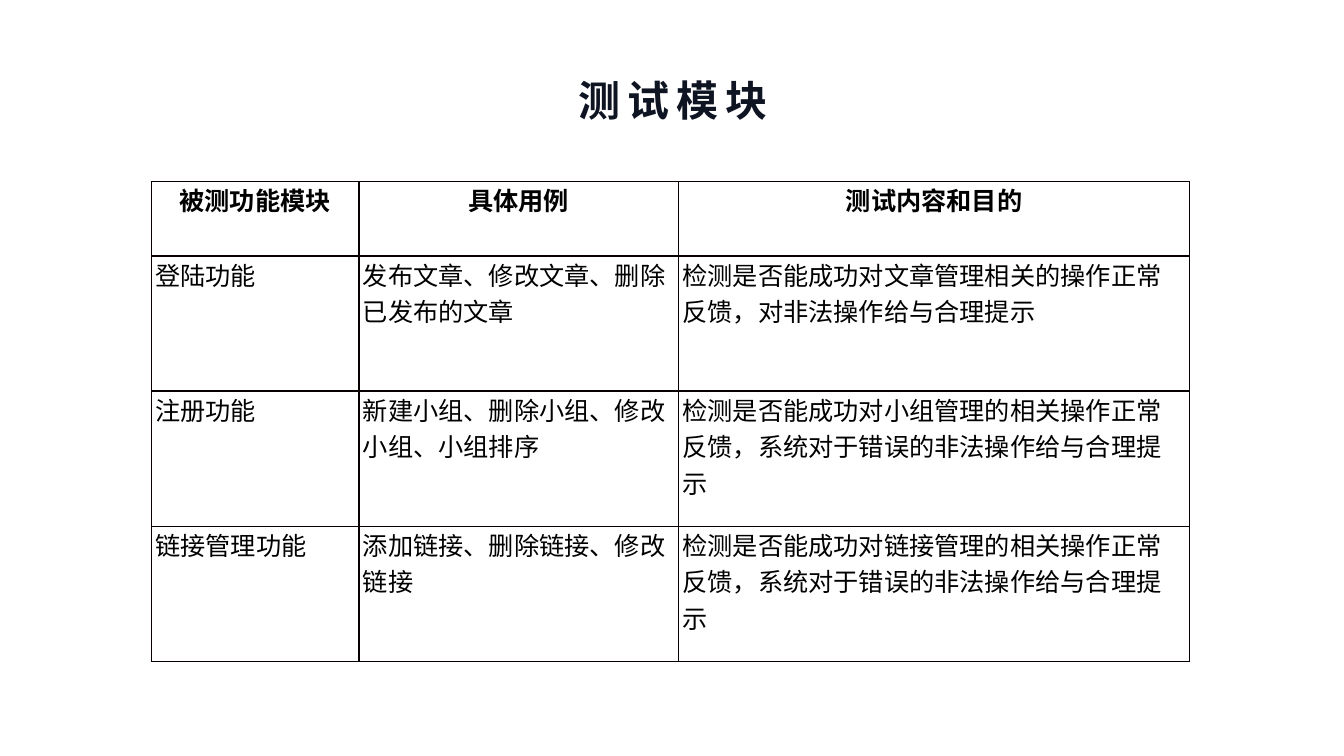
from typing import Any, NamedTuple

from lxml.etree import SubElement
from pptx import Presentation
from pptx.dml.color import RGBColor
from pptx.enum.text import MSO_ANCHOR as ANCHOR, MSO_AUTO_SIZE as AUTO, PP_ALIGN as ALIGN
from pptx.oxml.ns import qn
from pptx.util import Inches, Pt

WIDTH, HEIGHT = 13.33, 7.5
CJK = "Noto Sans CJK SC"
BORDER = "080000"
COLUMNS = (2.06, 3.17, 5.07)
TITLE_ONLY = 5


class Style(NamedTuple):
    """Look of one kind of text."""
    font: str
    size: int
    color: str
    bold: bool
    align: ALIGN
    tracking: int = 0


class Row(NamedTuple):
    """One table row: its height, its text style and its cells."""
    height: float
    style: Style
    cells: tuple[str, ...]


TITLE = Style("Montserrat", 30, "0F1423", True, ALIGN.CENTER, 5)
HEAD = Style(CJK, 18, "000000", True, ALIGN.CENTER)
BODY = HEAD._replace(bold=False, align=ALIGN.LEFT)

ROWS = (
    Row(0.74, HEAD, ("被测功能模块", "具体用例", "测试内容和目的")),
    Row(1.34, BODY, ("登陆功能", "发布文章、修改文章、删除已发布的文章",
                     "检测是否能成功对文章管理相关的操作正常反馈，对非法操作给与合理提示")),
    Row(1.34, BODY, ("注册功能", "新建小组、删除小组、修改小组、小组排序",
                     "检测是否能成功对小组管理的相关操作正常反馈，系统对于错误的非法操作给与合理提示")),
    Row(1.34, BODY, ("链接管理功能", "添加链接、删除链接、修改链接",
                     "检测是否能成功对链接管理的相关操作正常反馈，系统对于错误的非法操作给与合理提示")),
)


def rgb(code: str) -> RGBColor:
    """Turn a hex string into a colour."""
    return RGBColor.from_string(code)


def apply(target: Any, values: dict[str, Any]) -> None:
    """Set every attribute named in values on target."""
    for name, value in values.items():
        setattr(target, name, value)


def write(tf: Any, text: str, style: Style) -> Any:
    """Put one styled paragraph in a text frame and return it."""
    p = tf.paragraphs[0]
    p.alignment = style.align
    r = p.add_run()
    r.text = text
    apply(r.font, {"size": Pt(style.size), "bold": style.bold, "name": style.font})
    r.font.color.rgb = rgb(style.color)
    rpr = r.font._element
    SubElement(rpr, qn("a:ea"), typeface=CJK)
    if style.tracking:
        rpr.set("spc", str(style.tracking * 100))
    return p


def outline(cell: Any, color: str, width: float) -> None:
    """Draw the four borders of a table cell."""
    tcpr = cell._tc.get_or_add_tcPr()
    for side in "LRTB":
        ln = SubElement(tcpr, qn(f"a:ln{side}"), w=str(Pt(width)))
        fill = SubElement(ln, qn("a:solidFill"))
        SubElement(fill, qn("a:srgbClr"), val=color)


def add_title(slide: Any, text: str) -> None:
    """Move and format the title placeholder."""
    sp = slide.shapes.title
    apply(sp, {"left": Inches(5.7), "top": Inches(0.21),
               "width": Inches(1.95), "height": Inches(1.04)})
    tf = sp.text_frame
    apply(tf, {"margin_left": 0, "margin_right": 0, "margin_top": 0, "margin_bottom": 0,
               "word_wrap": False, "vertical_anchor": ANCHOR.MIDDLE,
               "auto_size": AUTO.SHAPE_TO_FIT_TEXT})
    write(tf, text, TITLE).line_spacing = Pt(74)


def add_grid(slide: Any, rows: tuple[Row, ...]) -> None:
    """Add the bordered table of test modules."""
    table = slide.shapes.add_table(
        len(rows), len(COLUMNS), Inches(1.5), Inches(1.8),
        Inches(sum(COLUMNS)), Inches(sum(row.height for row in rows))).table
    apply(table, {"first_row": False, "horz_banding": False})
    for column, width in zip(table.columns, COLUMNS):
        column.width = Inches(width)
    for line, row in zip(table.rows, rows):
        line.height = Inches(row.height)
        for cell, text in zip(line.cells, row.cells):
            apply(cell, {"margin_left": Inches(0.04), "margin_right": Inches(0.04),
                         "margin_top": 0, "margin_bottom": 0})
            outline(cell, BORDER, 1)
            cell.fill.background()
            write(cell.text_frame, text, row.style)


prs = Presentation()
apply(prs, {"slide_width": Inches(WIDTH), "slide_height": Inches(HEIGHT)})
slide = prs.slides.add_slide(prs.slide_layouts[TITLE_ONLY])
add_title(slide, "测试模块")
add_grid(slide, ROWS)
prs.save("out.pptx")
